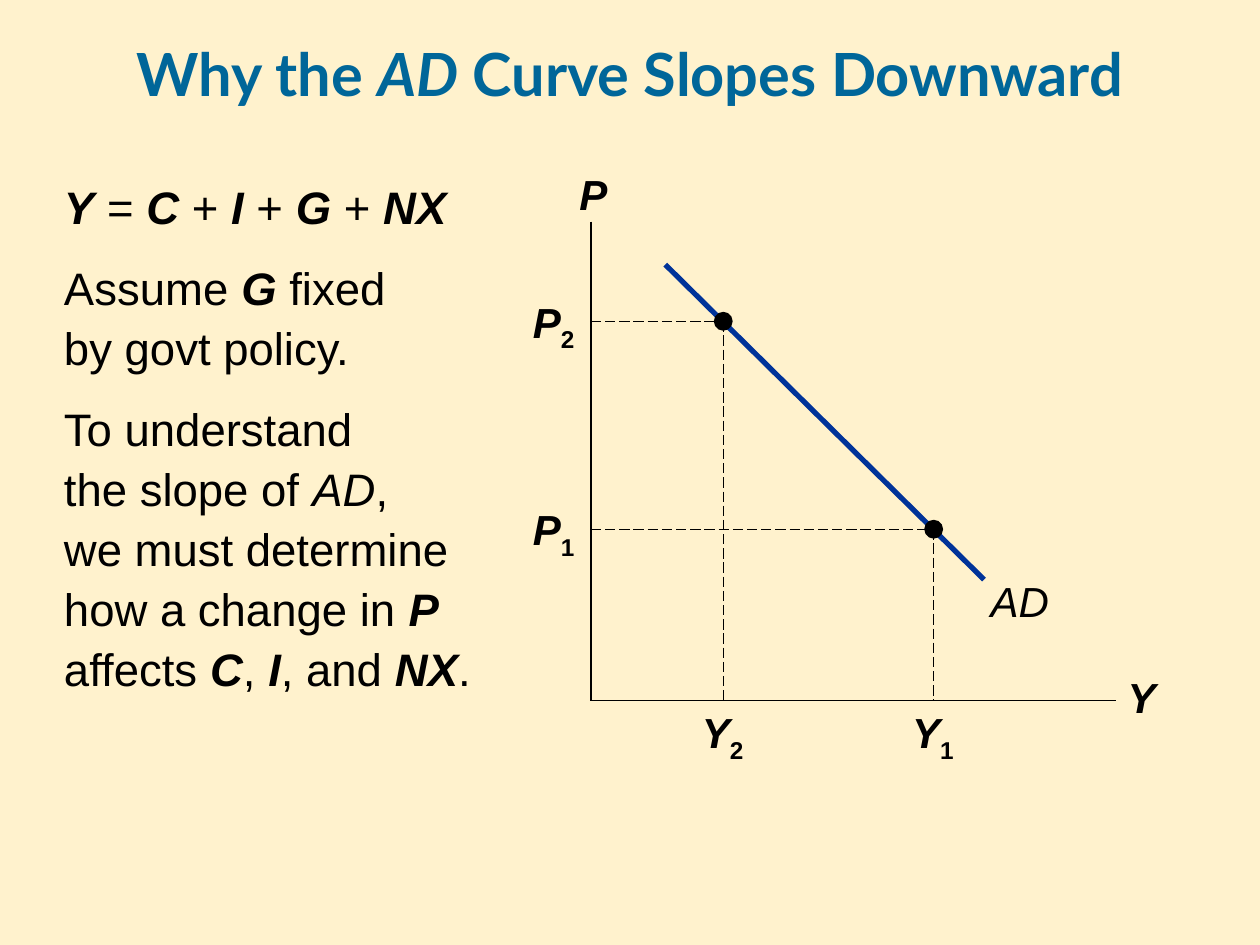
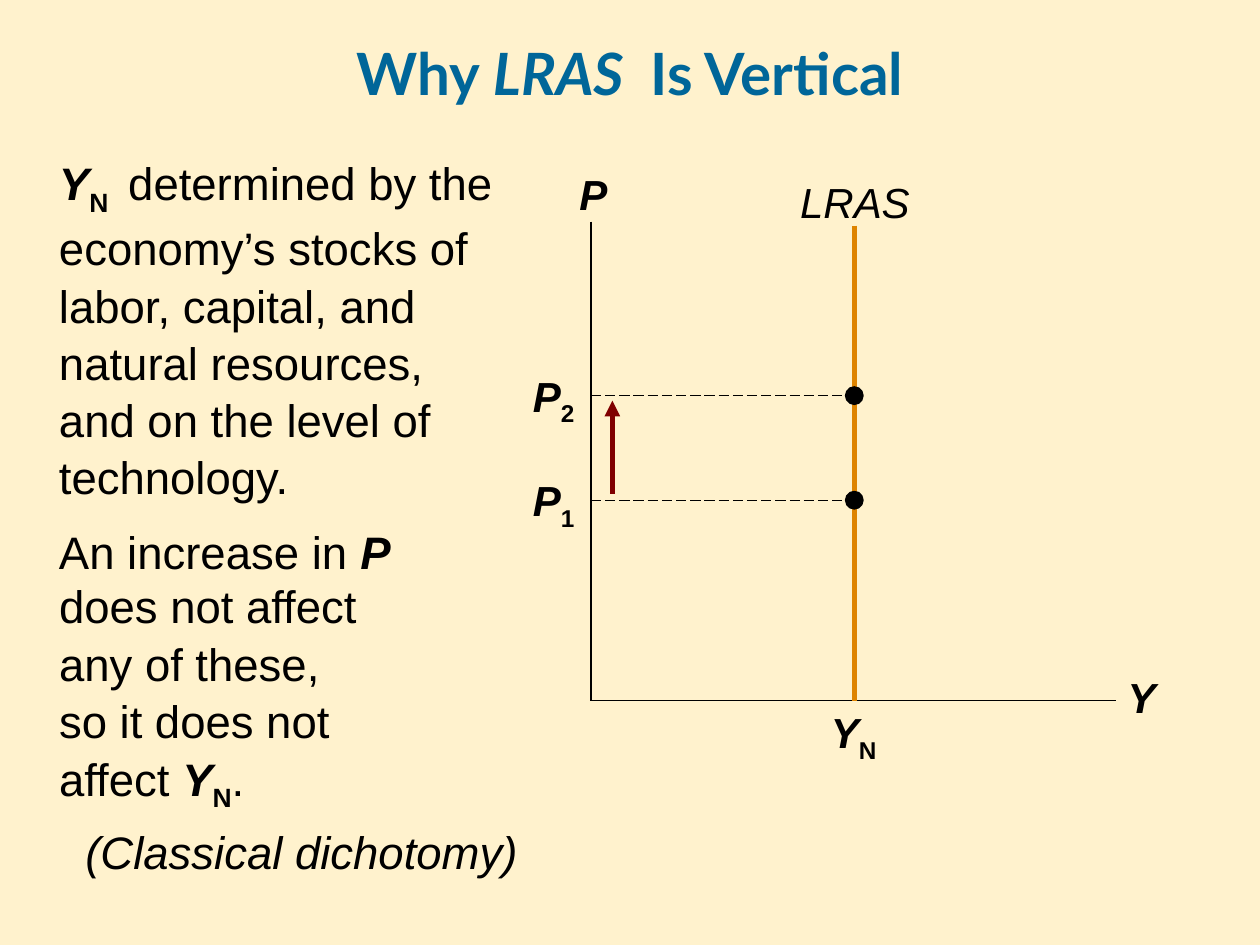
from pptx import Presentation
from pptx.dml.color import RGBColor
from pptx.enum.dml import MSO_LINE_DASH_STYLE as Dash
from pptx.enum.shapes import MSO_CONNECTOR as Connector, MSO_SHAPE as Shape
from pptx.enum.text import MSO_ANCHOR as Anchor, PP_ALIGN as Align
from pptx.oxml.ns import qn
from pptx.util import Inches, Pt
from lxml.etree import SubElement

COLORS = {
    "background": "FFF2CD",
    "title": "006699",
    "ink": "000000",
    "demand": "003399",
    "supply": "DE8400",
    "increase": "800000",
}
BODY_FONT, TITLE_FONT = "Arial", "Lato"
BODY_SIZE, LABEL_SIZE = 26, 24
AXIS_X, AXIS_Y = 4.69, 5.56
AXIS_TOP, AXIS_RIGHT = 1.76, 8.86
DOT_SIZE = 0.15


def color(name):
    return RGBColor.from_string(COLORS[name])


def italic(text):
    return text, "italic"


def variable(text):
    return text, "variable"


def subscript(text):
    return text, "subscript"


def add_run(paragraph, text, style):
    for index, line in enumerate(text.split("\n")):
        if index:
            paragraph.add_line_break()
        if not line:
            continue
        run = paragraph.add_run()
        run.text = line
        if style in ("italic", "variable"):
            run.font.italic = True
        if style in ("variable", "subscript"):
            run.font.bold = True
        if style == "subscript":
            run._r.get_or_add_rPr().set("baseline", "-25000")


def fill_paragraph(paragraph, pieces, size, font=BODY_FONT, ink="ink",
                   align=Align.LEFT, spacing=1.0, before=0):
    paragraph.alignment = align
    paragraph.line_spacing = spacing
    paragraph.space_before = Pt(before)
    paragraph.font.name = font
    paragraph.font.size = Pt(size)
    paragraph.font.color.rgb = color(ink)
    for piece in pieces:
        text, style = (piece, "plain") if isinstance(piece, str) else piece
        add_run(paragraph, text, style)


def add_text_frame(slide, left, top, width, height):
    box = slide.shapes.add_textbox(*map(Inches, (left, top, width, height)))
    box.text_frame.word_wrap = True
    return box.text_frame


def add_title(slide, pieces, size):
    frame = add_text_frame(slide, 0, 0.22, 10, 0.71)
    frame.vertical_anchor = Anchor.MIDDLE
    paragraph = frame.paragraphs[0]
    fill_paragraph(paragraph, pieces, size, TITLE_FONT, "title", Align.CENTER)
    paragraph.font.bold = True


def add_body(slide, box, paragraphs, spacing, before=0, last_align=Align.LEFT):
    frame = add_text_frame(slide, *box)
    for index, pieces in enumerate(paragraphs):
        paragraph = frame.add_paragraph() if index else frame.paragraphs[0]
        is_last = index == len(paragraphs) - 1
        fill_paragraph(paragraph, pieces, BODY_SIZE, spacing=spacing,
                       before=before if index else 0,
                       align=last_align if is_last else Align.LEFT)


def add_name(slide, left, top, width, piece):
    frame = add_text_frame(slide, left, top, width, 0.5)
    fill_paragraph(frame.paragraphs[0], [piece], LABEL_SIZE, align=Align.CENTER)


def add_tick(slide, left, top, letter, index):
    frame = add_text_frame(slide, left, top, 0.53, 0.4)
    frame.margin_left = frame.margin_right = 0
    frame.margin_top = frame.margin_bottom = 0
    fill_paragraph(frame.paragraphs[0], [variable(letter), subscript(index)],
                   LABEL_SIZE, align=Align.CENTER)


def add_price_tick(slide, price, index):
    add_tick(slide, 4.13, price - 0.2, "P", index)


def add_output_tick(slide, output, index):
    add_tick(slide, output - 0.27, 5.61, "Y", index)


def add_line(slide, start, end, ink="ink", width=1, dash=None, arrow=False):
    line = slide.shapes.add_connector(Connector.STRAIGHT,
                                      *map(Inches, (*start, *end)))
    line.line.color.rgb = color(ink)
    line.line.width = Pt(width)
    if dash:
        line.line.dash_style = dash
    if arrow:
        SubElement(line.line._get_or_add_ln(), qn("a:tailEnd"), type="triangle")
    SubElement(line._element.spPr, qn("a:effectLst"))


def add_guide(slide, start, end):
    add_line(slide, start, end, width=0.75, dash=Dash.LONG_DASH)


def add_dot(slide, x, y):
    corner = x - DOT_SIZE / 2, y - DOT_SIZE / 2
    dot = slide.shapes.add_shape(
        Shape.OVAL, *map(Inches, (*corner, DOT_SIZE, DOT_SIZE)))
    dot.shadow.inherit = False
    dot.fill.solid()
    dot.fill.fore_color.rgb = color("ink")
    dot.line.fill.background()


def add_axes(slide):
    add_line(slide, (AXIS_X, AXIS_TOP), (AXIS_X, AXIS_Y))
    add_line(slide, (AXIS_X, AXIS_Y), (AXIS_RIGHT, AXIS_Y))
    add_name(slide, 4.48, 1.29, 0.46, variable("P"))
    add_name(slide, 8.81, 5.28, 0.5, variable("Y"))


def add_slide(presentation, title, title_size):
    slide = presentation.slides.add_slide(presentation.slide_layouts[6])
    slide.background.fill.solid()
    slide.background.fill.fore_color.rgb = color("background")
    add_title(slide, title, title_size)
    add_axes(slide)
    return slide


def build_demand_slide(presentation):
    slide = add_slide(
        presentation, ["Why the ", italic("AD"), " Curve Slopes Downward"], 34)
    add_body(slide, (0.41, 1.33, 3.46, 5.47), [
        [variable("Y"), " = ", variable("C"), " + ", variable("I"), " + ",
         variable("G"), " + ", variable("NX")],
        ["Assume ", variable("G"), " fixed\nby govt policy."],
        ["To understand\nthe slope of ", italic("AD"),
         ",\nwe must determine\nhow a change in ", variable("P"), " affects ",
         variable("C"), ", ", variable("I"), ", and ", variable("NX"), "."],
    ], spacing=1.1, before=12)
    add_line(slide, (5.28, 2.1), (7.81, 4.6), "demand", 3)
    add_name(slide, 7.66, 4.52, 0.87, italic("AD"))
    for index, output, price in (("1", 7.41, 4.2), ("2", 5.74, 2.55)):
        add_guide(slide, (AXIS_X, price), (output, price))
        add_guide(slide, (output, price), (output, AXIS_Y))
        add_dot(slide, output, price)
        add_price_tick(slide, price, index)
        add_output_tick(slide, output, index)


def build_supply_slide(presentation):
    slide = add_slide(
        presentation, ["Why ", italic("LRAS "), " Is Vertical"], 33.3)
    add_body(slide, (0.37, 1.16, 3.74, 3.55), [
        [variable("Y"), subscript("N "),
         " determined by the economy’s stocks of labor, capital, and natural "
         "resources, and on the level of technology."],
        ["An increase in ", variable("P")],
    ], spacing=1.05, before=10)
    add_body(slide, (0.37, 4.52, 4.05, 2.53), [
        ["does not affect\nany of these,\nso it does not\naffect ",
         variable("Y"), subscript("N"), "."],
        [italic("(Classical dichotomy)")],
    ], spacing=1.05, before=5, last_align=Align.CENTER)
    natural_output = 6.78
    add_line(slide, (natural_output, 1.79), (natural_output, AXIS_Y), "supply", 3)
    add_name(slide, 6.14, 1.35, 1.29, italic("LRAS"))
    for index, price in (("1", 3.97), ("2", 3.14)):
        add_guide(slide, (AXIS_X, price), (natural_output, price))
        add_dot(slide, natural_output, price)
        add_price_tick(slide, price, index)
    add_line(slide, (4.86, 3.92), (4.86, 3.18), "increase", 3, arrow=True)
    add_output_tick(slide, natural_output, "N")


def main():
    presentation = Presentation()
    presentation.slide_width = Inches(10)
    presentation.slide_height = Inches(7.5)
    build_demand_slide(presentation)
    build_supply_slide(presentation)
    presentation.save("out.pptx")


if __name__ == "__main__":
    main()
